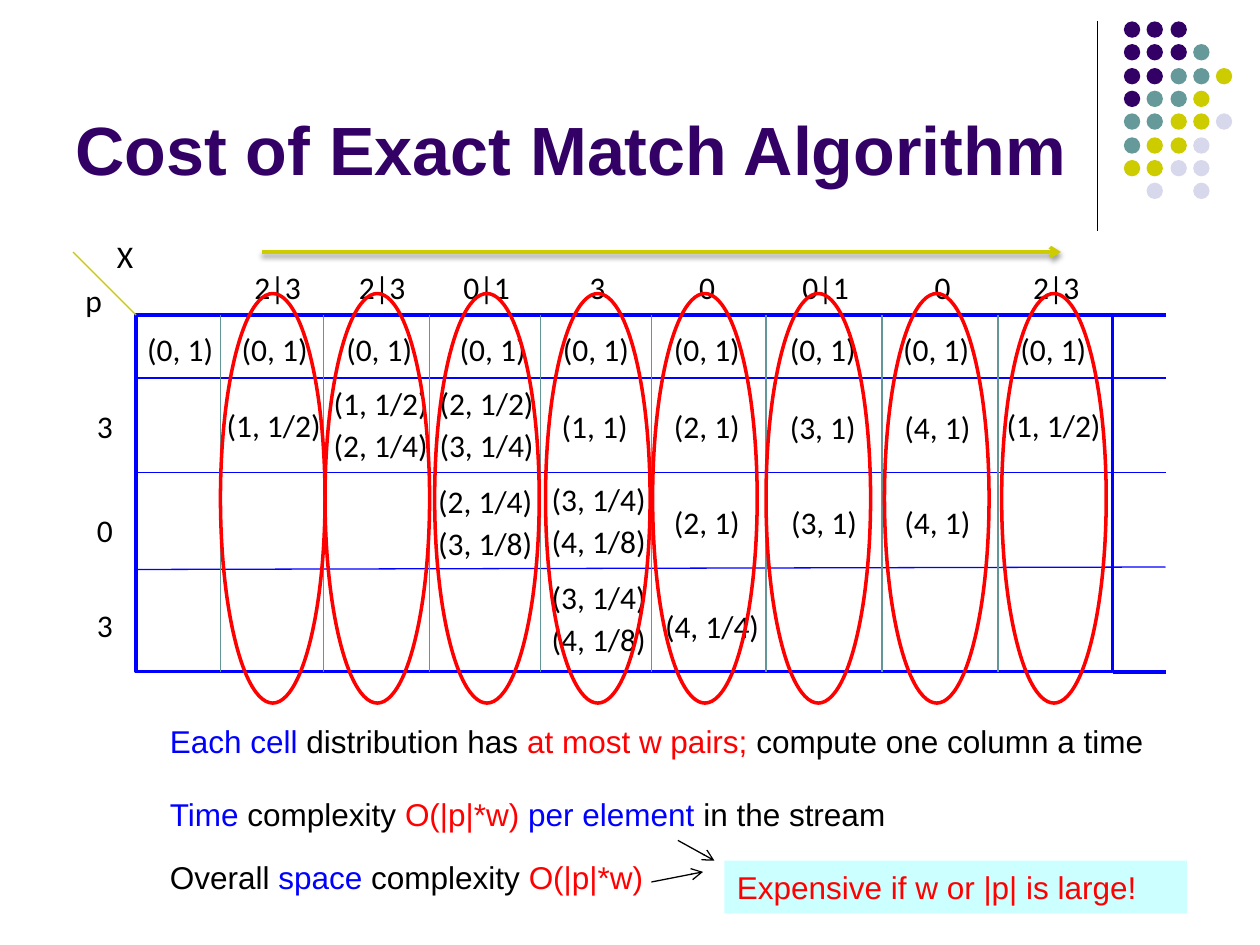
from collections import namedtuple

from lxml.etree import SubElement
from pptx import Presentation
from pptx.dml.color import RGBColor
from pptx.enum.shapes import MSO_CONNECTOR, MSO_SHAPE
from pptx.enum.text import MSO_ANCHOR, PP_ALIGN
from pptx.oxml.ns import qn
from pptx.util import Pt

PX = 9144
COLORS = {
    "black": "000000", "white": "FFFFFF", "purple": "330066", "teal": "669999",
    "olive": "CCCC00", "lavender": "D8D8EC", "blue": "0000FF", "red": "FF0000",
    "slant": "C8C800", "divider": "639797", "cyan": "CCFFFF",
}
DOT_COLORS = {"p": "purple", "t": "teal", "o": "olive", "l": "lavender"}
DOT_ROWS = ["ppp", "pppt", "pptto", "ptto", "ttool", "tool", "ooll", " l l"]

Box = namedtuple("Box", "left top width height")
Column = namedtuple("Column", "divider ring header header_left start_left stacks")
COLUMNS = [
    Column(67, 67, "2|3", 84, 74, [(62, 67, ["(1, 1/2)"])]),
    Column(149, 150, "2|3", 167, 157, [(147, 50, ["(1, 1/2)", "(2, 1/4)"])]),
    Column(233, 237, "0|1", 250, 247, [(231, 50, ["(2, 1/2)", "(3, 1/4)"]),
                                       (230, 128, ["(2, 1/4)", "(3, 1/8)"])]),
    Column(321, 325, "3", 350, 329, [(328, 68, ["(1, 1)"]),
                                     (320, 126, ["(3, 1/4)", "(4, 1/8)"]),
                                     (320, 204, ["(3, 1/4)", "(4, 1/8)"])]),
    Column(409, 410, "0", 437, 417, [(417, 68, ["(2, 1)"]), (417, 144, ["(2, 1)"]),
                                     (410, 227, ["(4, 1/4)"])]),
    Column(500, 500, "0|1", 519, 509, [(509, 69, ["(3, 1)"]), (510, 144, ["(3, 1)"])]),
    Column(592, 594, "0", 624, 599, [(600, 69, ["(4, 1)"]), (600, 144, ["(4, 1)"])]),
    Column(684, 687, "2|3", 702, 692, [(681, 67, ["(1, 1/2)"])]),
]
NOTES = [
    (0, [("Each cell", "blue"), (" distribution has ", "black"),
         ("at most w pairs;", "red"), (" compute one column a time", "black")]),
    (58, [("Time", "blue"), (" complexity ", "black"), ("O(|p|*w) ", "red"),
          ("per element ", "blue"), ("in the stream", "black")]),
    (108, [("Overall ", "black"), ("space", "blue"), (" complexity ", "black"),
           ("O(|p|*w)", "red")]),
]


def color(name):
    return RGBColor.from_string(COLORS[name])


def within(box, left, top, width, height):
    return Box(box.left + left, box.top + top, width, height)


def emu(box):
    return [length * PX for length in box]


def add_line(slide, box, start, end, name, width=0.75, arrow=False):
    line = slide.shapes.add_connector(
        MSO_CONNECTOR.STRAIGHT,
        (box.left + start[0]) * PX, (box.top + start[1]) * PX,
        (box.left + end[0]) * PX, (box.top + end[1]) * PX)
    line.line.color.rgb = color(name)
    line.line.width = Pt(width)
    if arrow:
        SubElement(line.line._get_or_add_ln(), qn("a:tailEnd"), type="arrow")
    return SubElement(line._element.spPr, qn("a:effectLst"))


def add_figure(slide, kind, box, fill=None, outline=None):
    figure = slide.shapes.add_shape(kind, *emu(box))
    figure.shadow.inherit = False
    if fill:
        figure.fill.solid()
        figure.fill.fore_color.rgb = color(fill)
    else:
        figure.fill.background()
    if outline:
        figure.line.color.rgb = color(outline)
        figure.line.width = Pt(2)
    else:
        figure.line.fill.background()
    return figure


def write(frame, parts, font="Calibri", size=18, bold=False):
    frame.word_wrap = True
    paragraph = frame.paragraphs[0]
    paragraph.alignment = PP_ALIGN.LEFT
    paragraph.font.name = font
    paragraph.font.size = Pt(size)
    paragraph.font.bold = bold
    for words, name in parts:
        run = paragraph.add_run()
        run.text = words
        run.font.color.rgb = color(name)


def add_text(slide, box, parts, **style):
    frame = slide.shapes.add_textbox(*emu(box)).text_frame
    write(frame, parts, **style)
    return frame


def add_label(slide, box, left, top, words, width=58):
    add_text(slide, within(box, left, top, width, 40), [(words, "black")])


def add_ornament(slide, box):
    add_line(slide, box, (0, 0), (0, box.height), "black")
    for row, dots in enumerate(DOT_ROWS):
        for place, dot in enumerate(dots):
            if dot in DOT_COLORS:
                left, top = 21 + round(place * 55 / 3), round(row * 55 / 3)
                add_figure(slide, MSO_SHAPE.OVAL, within(box, left, top, 13, 13),
                           DOT_COLORS[dot])


def add_title(slide, box):
    frame = add_text(slide, box, [("Cost of Exact Match Algorithm", "purple")],
                     font="Arial", size=39, bold=True)
    frame.vertical_anchor = MSO_ANCHOR.BOTTOM


def add_stream_arrow(slide, box):
    effects = add_line(slide, box, (0, 0), (box.width, 0), "olive", 2, True)
    shadow = SubElement(effects, qn("a:outerShdw"), blurRad=str(Pt(3.1)),
                        dist=str(Pt(1.6)), dir="5400000", rotWithShape="0")
    black = SubElement(shadow, qn("a:srgbClr"), val=COLORS["black"])
    SubElement(black, qn("a:alpha"), val="38000")


def add_matrix(slide, box):
    right_end = box.width + 42
    add_figure(slide, MSO_SHAPE.RECTANGLE, box, "white", "blue")
    for left_top, right_top in [(50, 50), (125, 125), (202, 200)]:
        add_line(slide, box, (0, left_top), (right_end, right_top), "blue")
    for edge in (0, box.height):
        add_line(slide, box, (box.width, edge), (right_end, edge), "blue", 2.25)
    add_line(slide, box, (0, 0), (-50, -50), "slant")

    for left, top, words in [(-25, -67, "X"), (-50, -32, "p"),
                             (-41, 68, "3"), (-41, 151, "0"), (-41, 226, "3")]:
        add_label(slide, box, left, top, words, 42)
    add_label(slide, box, -1, 7, "(0, 1)", 77)

    for column in COLUMNS:
        add_line(slide, box, (column.divider, 0), (column.divider, box.height), "divider")
        add_label(slide, box, column.header_left, -42, column.header)
        add_label(slide, box, column.start_left, 7, "(0, 1)", 77)
        for left, top, pairs in column.stacks:
            for place, pair in enumerate(pairs):
                add_label(slide, box, left, top + 33 * place, pair, 97)
    for column in COLUMNS:
        add_figure(slide, MSO_SHAPE.OVAL, within(box, column.ring, -17, 83, 325),
                   outline="red")


def add_notes(slide, box):
    for top, parts in NOTES:
        add_text(slide, within(box, 0, top, box.width, 40), parts, font="Arial")


def add_warning(slide, box):
    add_line(slide, box, (-37, -16), (-8, 0), "black", arrow=True)
    add_line(slide, box, (-58, 17), (-17, 9), "black", arrow=True)
    warning = add_figure(slide, MSO_SHAPE.RECTANGLE, box, "cyan")
    write(warning.text_frame, [("Expensive if w or |p| is large!", "red")], font="Arial")


def main():
    deck = Presentation()
    deck.slide_width, deck.slide_height = 1000 * PX, 750 * PX
    slide = deck.slides.add_slide(deck.slide_layouts[6])
    add_ornament(slide, Box(871, 17, 107, 166))
    add_title(slide, Box(50, 13, 825, 142))
    add_matrix(slide, Box(108, 250, 775, 283))
    add_stream_arrow(slide, Box(208, 200, 634, 0))
    add_notes(slide, Box(125, 568, 825, 148))
    add_warning(slide, Box(575, 683, 367, 42))
    deck.save("out.pptx")


if __name__ == "__main__":
    main()
